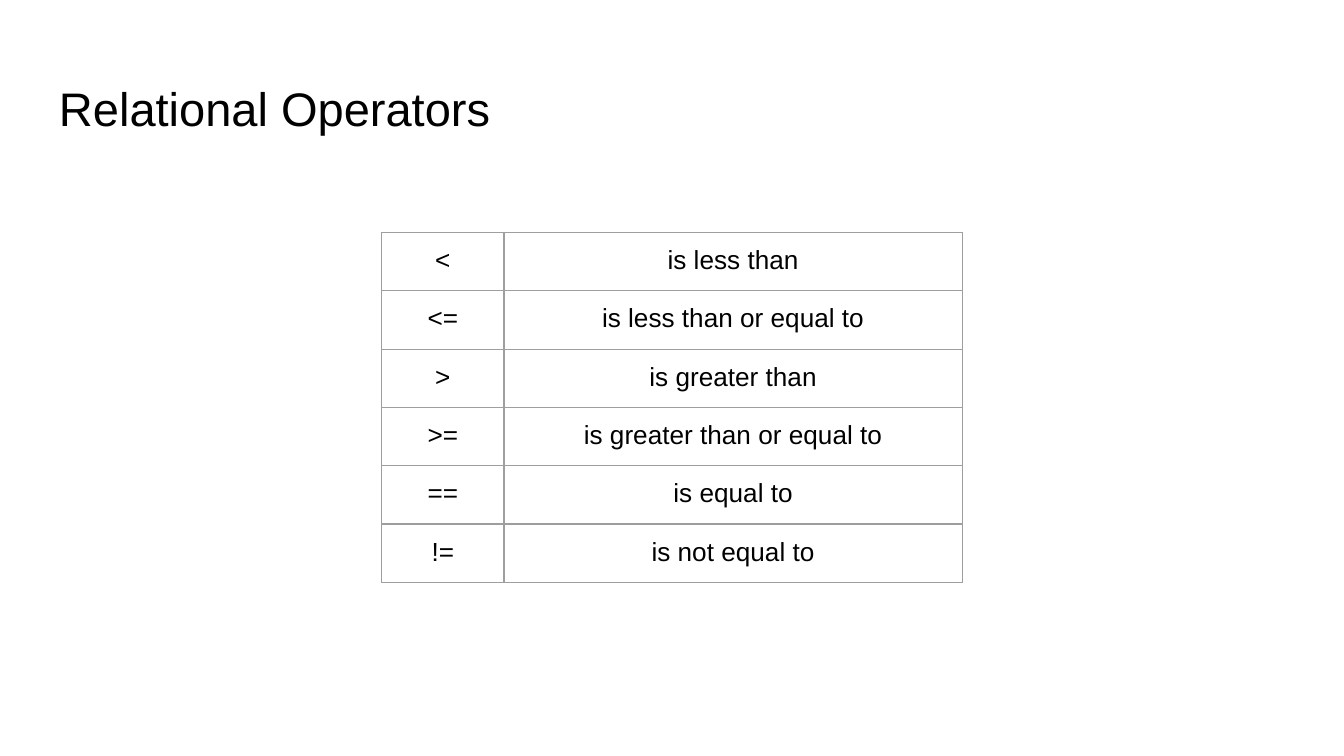
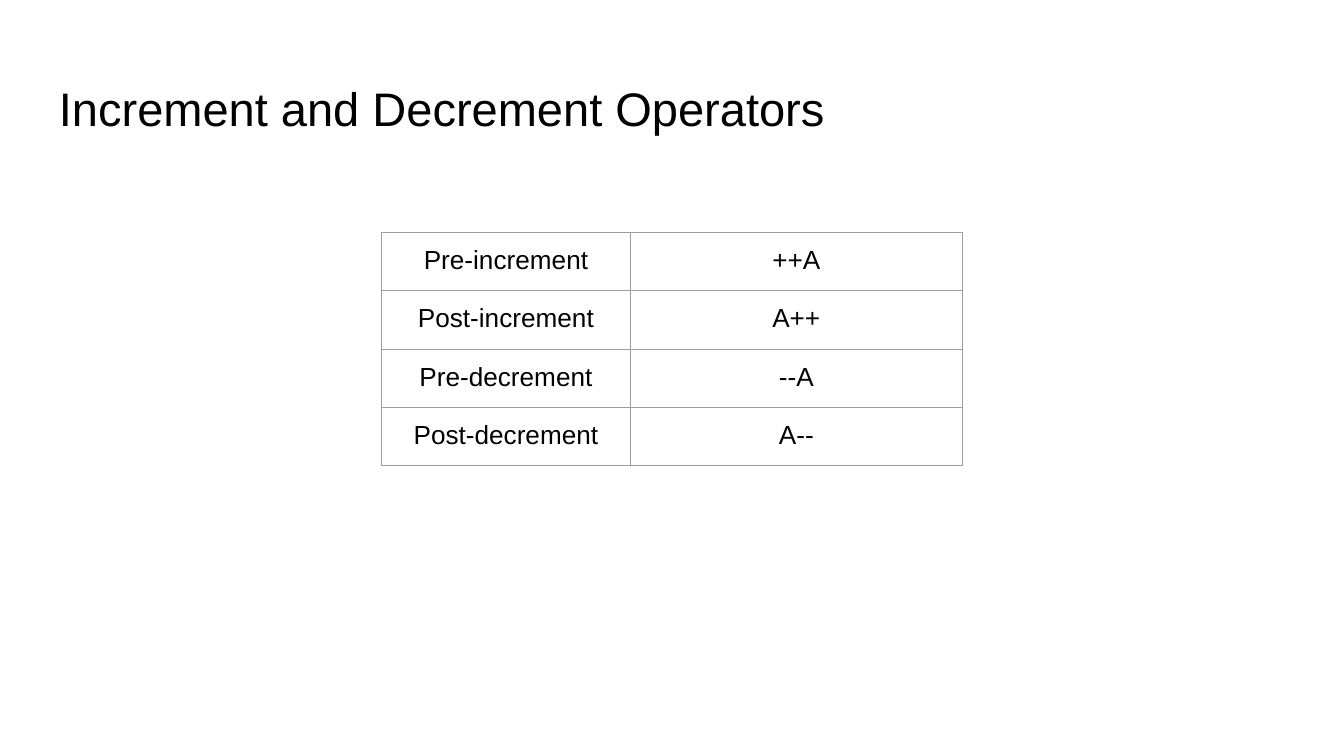
"""Build two slides of operator tables."""
from lxml.etree import SubElement
from pptx import Presentation
from pptx.dml.color import RGBColor
from pptx.enum.text import MSO_ANCHOR, PP_ALIGN
from pptx.oxml.ns import qn
from pptx.util import Inches, Pt

OPERATOR_SLIDES = [
    {
        "title": "Relational Operators",
        "column_widths": (0.91, 3.41),
        "rows": [
            ("<", "is less than"),
            ("<=", "is less than or equal to"),
            (">", "is greater than"),
            (">=", "is greater than or equal to"),
            ("==", "is equal to"),
            ("!=", "is not equal to"),
        ],
    },
    {
        "title": "Increment and Decrement Operators",
        "column_widths": (1.85, 2.47),
        "rows": [
            ("Pre-increment", "++A"),
            ("Post-increment", "A++"),
            ("Pre-decrement", "--A"),
            ("Post-decrement", "A--"),
        ],
    },
]
COLORS = {"text": "000000", "border": "9E9E9E", "background": "FFFFFF"}
FONT = "Arial"
SLIDE_WIDTH = 10
SLIDE_HEIGHT = SLIDE_WIDTH * 9 / 16
TITLE_SIZE, CELL_SIZE = 25.2, 14
TABLE_LEFT, TABLE_TOP = 2.84, 1.73
ROW_HEIGHT = 2.6 / 6
MARGIN = Inches(0.1)
BORDER_WIDTH = Pt(0.75)


def set_margins(area):
    area.margin_left = area.margin_right = MARGIN
    area.margin_top = area.margin_bottom = MARGIN


def style_text(frame, size):
    for paragraph in frame.paragraphs:
        for run in paragraph.runs:
            run.font.name = FONT
            run.font.size = Pt(size)
            run.font.color.rgb = RGBColor.from_string(COLORS["text"])


def add_title(slide, title):
    frame = slide.shapes.add_textbox(
        Inches(0.34), Inches(0.49), Inches(9.32), Inches(0.63)).text_frame
    frame.word_wrap = True
    frame.vertical_anchor = MSO_ANCHOR.MIDDLE
    set_margins(frame)
    frame.text = title
    style_text(frame, TITLE_SIZE)


def add_borders(cell):
    properties = cell._tc.get_or_add_tcPr()
    for side in ("a:lnL", "a:lnR", "a:lnT", "a:lnB"):
        border = SubElement(properties, qn(side), w=str(BORDER_WIDTH))
        fill = SubElement(border, qn("a:solidFill"))
        SubElement(fill, qn("a:srgbClr"), val=COLORS["border"])


def fill_cell(cell, wording):
    set_margins(cell)
    add_borders(cell)
    cell.fill.background()
    cell.text_frame.text = wording
    cell.text_frame.paragraphs[0].alignment = PP_ALIGN.CENTER
    style_text(cell.text_frame, CELL_SIZE)


def add_operator_table(slide, rows, column_widths):
    table = slide.shapes.add_table(
        len(rows), len(column_widths), Inches(TABLE_LEFT), Inches(TABLE_TOP),
        Inches(sum(column_widths)), Inches(ROW_HEIGHT * len(rows))).table
    table.first_row = table.horz_banding = False
    for column, width in zip(table.columns, column_widths):
        column.width = Inches(width)
    for table_row, wordings in zip(table.rows, rows):
        table_row.height = Inches(ROW_HEIGHT)
        for cell, wording in zip(table_row.cells, wordings):
            fill_cell(cell, wording)


def main():
    deck = Presentation()
    deck.slide_width, deck.slide_height = Inches(SLIDE_WIDTH), Inches(SLIDE_HEIGHT)
    for content in OPERATOR_SLIDES:
        slide = deck.slides.add_slide(deck.slide_layouts[6])
        slide.background.fill.solid()
        slide.background.fill.fore_color.rgb = RGBColor.from_string(COLORS["background"])
        add_title(slide, content["title"])
        add_operator_table(slide, content["rows"], content["column_widths"])
    deck.save("out.pptx")


if __name__ == "__main__":
    main()
